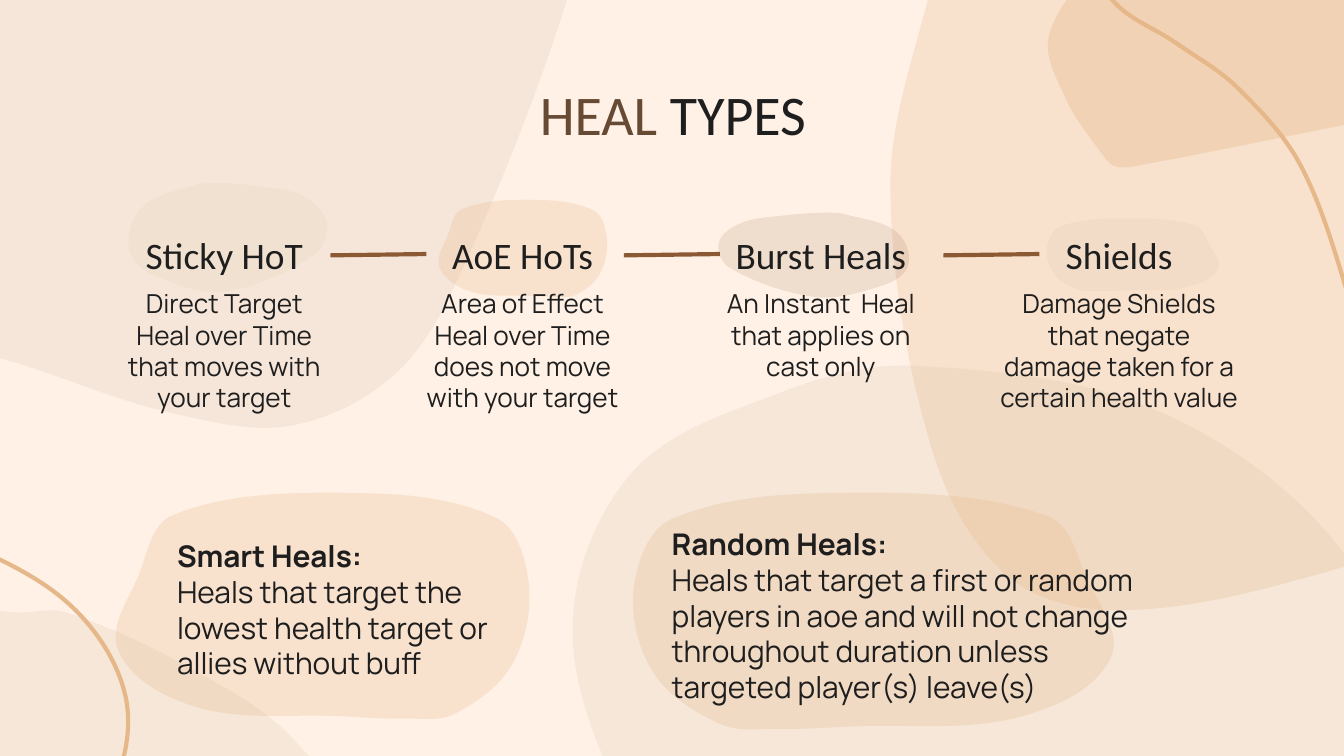
from math import dist
from pptx import Presentation
from pptx.dml.color import RGBColor
from pptx.enum.shapes import MSO_CONNECTOR
from pptx.enum.text import MSO_ANCHOR, PP_ALIGN
from pptx.oxml.ns import qn
from pptx.util import Pt
from lxml.etree import SubElement

INK, BROWN, RUST, SAND, PEACH = "1E1E1E", "664A34", "8B5A34", "ECDCC9", "E6B789"

BACKDROP = [
    (SAND, 46, [(719, 295), (744, 380), (699, 602), (732, 797), (608, 778), (462, 654),
                (351, 462), (307, 345), (337, 255), (419, 210), (490, 196), (620, 220)]),
    (PEACH, 26, [(819, -98), (510, -30), (497, 0), (477, 100), (499, 240), (539, 308),
                 (598, 327), (705, 308), (827, 263), (986, 172), (920, -55)]),
    (PEACH, None, [(930, 346), (757, 283), (724, 164), (697, 89), (663, 47), (630, 23),
                   (596, 0), (536, -90), (606, -184)]),
    (PEACH, 35, [(855, -77), (906, -73), (943, -13), (870, 40), (756, 60), (608, 89),
                 (597, 89), (590, 82), (571, 53), (562, 19), (589, -16), (639, -30)]),
    (RUST, 7, [(122, -233), (-81, -235), (-206, 12), (-140, 140), (23, 199), (95, 222),
               (156, 228), (211, 201), (246, 148), (305, -4), (320, -90), (299, -138)]),
    (SAND, 46, [(8, 328), (35, 328), (102, 358), (158, 397), (217, 487), (138, 500),
                (53, 532), (-104, 647), (-309, 567), (-348, 374), (-182, 310)]),
    (PEACH, None, [(-395, 9), (-215, 42), (-162, 155), (-123, 224), (-45, 277), (34, 321),
                   (67, 372), (59, 425), (14, 477)]),
]

EGG = [(44, 0), (33, 2), (6, 24), (1, 66), (20, 91), (50, 100), (93, 66), (99, 36),
       (87, 12), (64, 3)]
PEBBLE = [(53, 0), (13, 10), (5, 36), (0, 70), (19, 95), (54, 99), (69, 100), (81, 98),
          (95, 76), (99, 40), (91, 11)]
HIGHLIGHTS = [
    (SAND, 46, EGG, False, (69, 98, 107, 58)),
    (RUST, 13, EGG, True, (384, 114, 103, 45)),
    ("AC9078", 7, PEBBLE, True, (560, 117, 92.5, 39)),
    (PEACH, 26, PEBBLE, False, (235.5, 107, 90.5, 52)),
    (PEACH, 26, PEBBLE, False, (63.5, 264, 222, 121)),
    (PEACH, 26, PEBBLE, True, (337, 264, 258, 126.5)),
]

HEAL_TYPES = [
    ("Sticky HoT", "Direct Target Heal over Time that moves with your target", 124),
    ("AoE HoTs", "Area of Effect Heal over Time does not move with your target", 124),
    ("Burst Heals", "An Instant  Heal that applies on cast only", 124),
    ("Shields", "Damage Shields that negate damage taken for a certain health value", 143.5),
]
DASH_LEFTS = [177, 334.2, 505.4]

NOTES = [
    ("Smart Heals:", "Heals that target the lowest health target or allies without buff",
     (87.8, 280.8, 199.4, 62)),
    ("Random Heals:", "Heals that target a first or random players in aoe and will not change "
     "throughout duration unless targeted player(s) leave(s)", (352.8, 274.4, 283, 111.6)),
]


def rgb(color):
    return RGBColor.from_string(color)


def handle(before, anchor, after, reach):
    span = dist(before, after)
    return tuple(a + (e - s) / span * reach for s, a, e in zip(before, anchor, after))


def smooth(anchors, closed):
    if closed:
        ring = [anchors[-1], *anchors, anchors[0], anchors[1]]
    else:
        ring = [anchors[0], *anchors, anchors[-1]]
    path = [ring[1]]
    for before, start, end, after in zip(ring, ring[1:], ring[2:], ring[3:]):
        reach = dist(start, end) / 3
        path += [handle(before, start, end, reach), handle(start, end, after, -reach), end]
    return path


def add_curve(color, opacity, anchors):
    closed = opacity is not None
    points = [(Pt(x), Pt(y)) for x, y in smooth(anchors, closed)]
    builder = slide.shapes.build_freeform(*points[0])
    builder.add_line_segments(points[1:], close=closed)
    curve = builder.convert_to_shape()
    curve.shadow.inherit = False
    segments = list(curve._element.iter(qn("a:lnTo")))
    for first in range(0, len(segments), 3):
        bezier = segments[first]
        bezier.tag = qn("a:cubicBezTo")
        for control in segments[first + 1:first + 3]:
            bezier.append(control[0])
            control.getparent().remove(control)
    if closed:
        curve.fill.solid()
        curve.fill.fore_color.rgb = rgb(color)
        curve.line.fill.background()
        fill_color = curve._element.spPr.find(qn("a:solidFill"))[0]
        SubElement(fill_color, qn("a:alpha"), val=str(opacity * 1000))
    else:
        curve.fill.background()
        curve.line.color.rgb = rgb(color)
        curve.line.width = Pt(2.25)


def add_text(frame, lines, size, font, align=PP_ALIGN.CENTER, anchor=MSO_ANCHOR.TOP):
    text = slide.shapes.add_textbox(*map(Pt, frame)).text_frame
    text.word_wrap = True
    text.vertical_anchor = anchor
    text.margin_left = text.margin_right = text.margin_top = text.margin_bottom = Pt(7.2)
    paragraph = text.paragraphs[0]
    paragraph.alignment = align
    for number, line in enumerate(lines):
        if number:
            paragraph.add_line_break()
        for words, color, bold in line:
            run = paragraph.add_run()
            run.text = words
            run.font.size, run.font.name, run.font.bold = Pt(size), font, bold
            run.font.color.rgb = rgb(color)


deck = Presentation()
deck.slide_width, deck.slide_height = Pt(720), Pt(405)
slide = deck.slides.add_slide(deck.slide_layouts[6])
slide.background.fill.solid()
slide.background.fill.fore_color.rgb = rgb("FFF1E6")

for color, opacity, anchors in BACKDROP:
    add_curve(color, opacity, anchors)

for color, opacity, outline, mirrored, (left, top, width, height) in HIGHLIGHTS:
    add_curve(color, opacity, [
        (left + width * (100 - x if mirrored else x) / 100, top + height * y / 100)
        for x, y in outline])

for left in DASH_LEFTS:
    dash = slide.shapes.add_connector(
        MSO_CONNECTOR.STRAIGHT, Pt(left), Pt(136.8), Pt(left + 51.4), Pt(136.1))
    dash.line.color.rgb = rgb(RUST)
    dash.line.width = Pt(2.25)
    SubElement(dash._element.spPr, qn("a:effectLst"))

add_text((57, 34.5, 607, 52), [[("HEAL ", BROWN, False), ("TYPES", INK, False)]],
         30, "Calibri", anchor=MSO_ANCHOR.MIDDLE)

for column, (heading, detail, width) in enumerate(HEAL_TYPES):
    center = 120.2 + 159.8 * column
    add_text((center - 62, 117.4, 124, 38), [[(heading, INK, False)]],
             20, "Calibri", anchor=MSO_ANCHOR.MIDDLE)
    add_text((center - width / 2, 146.9, width, 80.6), [[(detail, INK, False)]], 14, "Manrope")

for heading, detail, frame in NOTES:
    add_text(frame, [[(heading, INK, True)], [(detail, INK, False)]],
             16, "Manrope", PP_ALIGN.LEFT)

deck.save("out.pptx")
